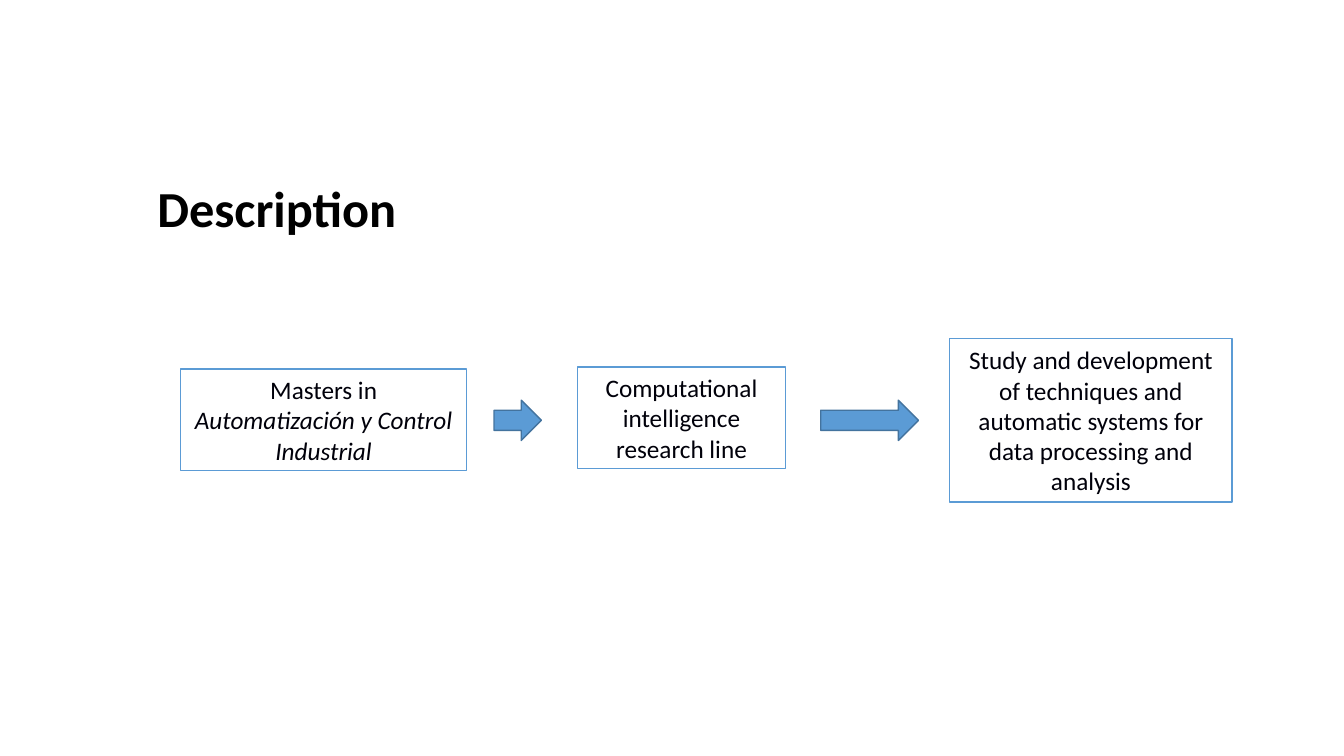
from pptx import Presentation
from pptx.dml.color import RGBColor
from pptx.enum.shapes import MSO_SHAPE
from pptx.enum.text import MSO_ANCHOR, MSO_AUTO_SIZE, PP_ALIGN
from pptx.util import Inches, Pt

RECTANGLE = MSO_SHAPE.RECTANGLE
RIGHT_ARROW = MSO_SHAPE.RIGHT_ARROW
MIDDLE = MSO_ANCHOR.MIDDLE
NO_AUTOFIT = MSO_AUTO_SIZE.NONE
LEFT = PP_ALIGN.LEFT
CENTER = PP_ALIGN.CENTER

TITLE_ONLY = 5
BLUE = "5B9BD5"
DARK_BLUE = "43739E"
BLACK = "000000"
INK = "00000A"

ARROW_TOP, ARROW_HEIGHT = 3.97, 0.4

# Left, top, width, height, then (text, italic) spans
STEPS = [
    (1.79, 3.66, 2.84, 1.01, [("Masters in ", False),
                              ("Automatización y Control Industrial", True)]),
    (5.73, 3.64, 2.06, 1.01, [("Computational intelligence research line", False)]),
    (9.42, 3.36, 2.8, 1.62, [("Study and development of techniques and automatic "
                              "systems for data processing and analysis", False)]),
]
# Left, width
ARROWS = [(4.9, 0.47), (8.14, 0.97)]


def color(hex_string):
    return RGBColor.from_string(hex_string)


class SlideBuilder:
    """Holds the type style and the slide being filled."""

    font_name = "Calibri"

    def __init__(self, page):
        self.page = page

    def add_text(self, box, spans, size, ink, align, wrap=True, bold=False):
        """Fill a box with one paragraph of (text, italic) spans."""
        frame = box.text_frame
        settings = {"word_wrap": wrap, "auto_size": NO_AUTOFIT, "vertical_anchor": MIDDLE}
        for name, value in settings.items():
            setattr(frame, name, value)
        para = frame.paragraphs[0]
        para.alignment = align
        for text, italic in spans:
            span = para.add_run()
            span.text = text
            style = {"name": self.font_name, "size": Pt(size), "bold": bold, "italic": italic}
            for name, value in style.items():
                setattr(span.font, name, value)
            span.font.color.rgb = color(ink)

    def title(self, text, left, top, width, height):
        box = self.page.shapes.title
        place = {"left": left, "top": top, "width": width, "height": height}
        for name, value in place.items():
            setattr(box, name, Inches(value))
        self.add_text(box, [(text, False)], 36, BLACK, LEFT, wrap=False, bold=True)

    def shape(self, kind, left, top, width, height, line, fill=None):
        shape = self.page.shapes.add_shape(
            kind, Inches(left), Inches(top), Inches(width), Inches(height))
        shape.shadow.inherit = False
        shape.line.color.rgb = color(line)
        shape.line.width = Pt(1)
        if fill:
            shape.fill.solid()
            shape.fill.fore_color.rgb = color(fill)
        else:
            shape.fill.background()
        return shape

    def step(self, left, top, width, height, spans):
        box = self.shape(RECTANGLE, left, top, width, height, BLUE)
        self.add_text(box, spans, 18, INK, CENTER)

    def arrow(self, left, width):
        self.shape(RIGHT_ARROW, left, ARROW_TOP, width, ARROW_HEIGHT, DARK_BLUE, BLUE)


def main():
    deck = Presentation()
    deck.slide_width = Inches(13.33)
    deck.slide_height = Inches(7.5)
    page = deck.slides.add_slide(deck.slide_layouts[TITLE_ONLY])
    builder = SlideBuilder(page)
    builder.title("Description", 1.46, 1.7, 2.61, 0.71)
    for step in STEPS:
        builder.step(*step)
    for arrow in ARROWS:
        builder.arrow(*arrow)
    deck.save("out.pptx")


if __name__ == "__main__":
    main()
